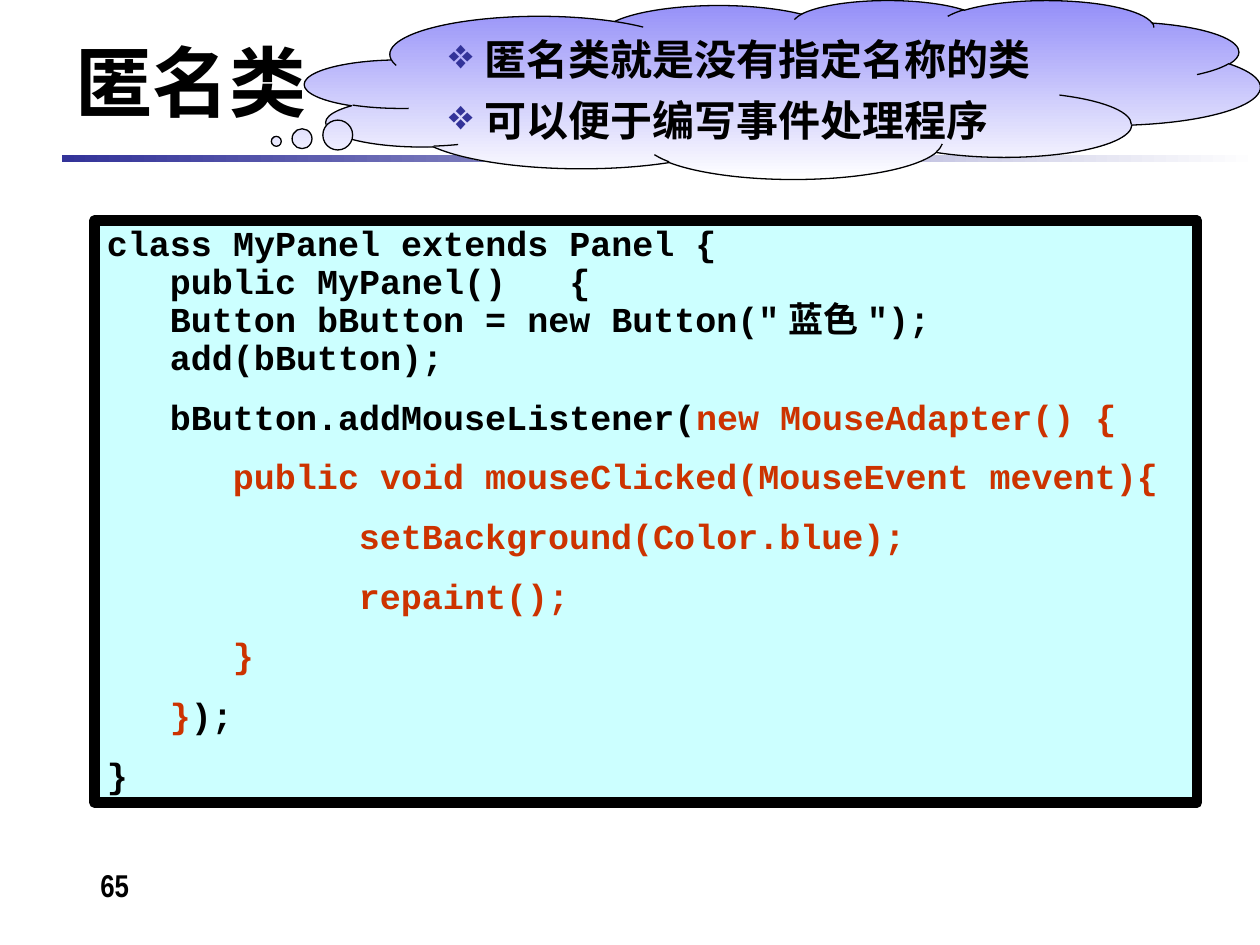
import pptx
import pptx.util
import pptx.dml.color
import pptx.enum.shapes
import pptx.enum.text
import pptx.oxml
import pptx.oxml.ns

Inches, Pt = pptx.util.Inches, pptx.util.Pt
SHAPE = pptx.enum.shapes.MSO_SHAPE
ANCHOR = pptx.enum.text.MSO_ANCHOR
ALIGN = pptx.enum.text.PP_ALIGN

COLORS = {"ink": "000000", "navy": "333399", "white": "FFFFFF",
          "cyan": "CCFFFF", "red": "CC3300", "violet": "938EF8"}
SANS, MONO = "Arial Narrow", "Courier New"
INDENT = 0.5  # one code level: three characters at 20 pt

# Each paragraph: indent level, hanging level, lines of (text, colour) runs
CODE = [
    (0, 1, [[("class MyPanel extends Panel {", "ink")],
            [("public MyPanel()   {", "ink")],
            [('Button bButton = new Button("蓝色");', "ink")],
            [("add(bButton);", "ink")]]),
    (1, 1, [[("bButton.addMouseListener(", "ink"), ("new MouseAdapter() {", "red")]]),
    (2, 2, [[("public void mouseClicked(MouseEvent mevent){", "red")]]),
    (4, 4, [[("setBackground(Color.blue);", "red")]]),
    (4, 4, [[("repaint();", "red")]]),
    (2, 2, [[("}", "red")]]),
    (1, 1, [[("}", "red"), (");", "ink")]]),
    (0, 0, [[("}", "ink")]]),
]


def rgb(name):
    return pptx.dml.color.RGBColor.from_string(COLORS[name])


class SlideBuilder:
    def __init__(self, slide):
        self.slide = slide

    def font(self, font, size, name=SANS, color="ink"):
        font.name, font.size, font.bold = name, Pt(size), True
        font.color.rgb = rgb(color)

    def indent(self, p, left, first):
        pPr = p._p.get_or_add_pPr()
        pPr.set("marL", str(Inches(left)))
        pPr.set("indent", str(Inches(first)))
        return pPr

    def shape(self, kind, box, fill, angle=0, line=None):
        """A pair of colours as fill makes a gradient."""
        sp = self.slide.shapes.add_shape(kind, *map(Inches, box))
        sp.shadow.inherit = False
        if isinstance(fill, tuple):
            sp.fill.gradient()
            sp.fill.gradient_angle = angle
            for stop, color in zip(sp.fill.gradient_stops, fill):
                stop.color.rgb = rgb(color)
        else:
            sp.fill.solid()
            sp.fill.fore_color.rgb = rgb(fill)
        if line:
            sp.line.color.rgb, sp.line.width = rgb("ink"), Pt(line)
        else:
            sp.line.fill.background()
        sp.text_frame.vertical_anchor = ANCHOR.TOP
        return sp

    def text(self, box, text, size, anchor=ANCHOR.TOP, align=ALIGN.LEFT):
        tf = self.slide.shapes.add_textbox(*map(Inches, box)).text_frame
        tf.word_wrap, tf.vertical_anchor = True, anchor
        p = tf.paragraphs[0]
        p.text, p.alignment = text, align
        self.font(p.font, size)

    def paragraphs(self, tf, count):
        while len(tf.paragraphs) < count:
            tf.add_paragraph()
        return tf.paragraphs

    def bullets(self, tf, items, size):
        for p, item in zip(self.paragraphs(tf, len(items)), items):
            p.text, p.alignment, p.space_before = item, ALIGN.LEFT, Pt(6)
            self.font(p.font, size)
            pPr = self.indent(p, 0.28, -0.28)
            ns = pptx.oxml.ns.nsdecls("a")
            marks = (f'<a:buClr {ns}><a:srgbClr val="{COLORS["navy"]}"/></a:buClr>',
                     f'<a:buChar {ns} char="❖"/>')
            # Bullet marks come before the default run properties
            for mark in marks:
                pPr.find(pptx.oxml.ns.qn("a:defRPr")).addprevious(pptx.oxml.parse_xml(mark))

    def code(self, tf, rows, size):
        for p, (level, hang, lines) in zip(self.paragraphs(tf, len(rows)), rows):
            p.alignment, p.line_spacing, p.space_before = ALIGN.LEFT, 0.9, Pt(12.5)
            self.font(p.font, size, MONO)
            self.indent(p, hang * INDENT, (level - hang) * INDENT)
            for i, line in enumerate(lines):
                if i:
                    p.add_line_break()
                for text, color in line:
                    r = p.add_run()
                    r.text = text
                    r.font.color.rgb = rgb(color)


def main():
    prs = pptx.Presentation()
    prs.slide_width, prs.slide_height = Inches(10), Inches(7.5)
    s = SlideBuilder(prs.slides.add_slide(prs.slide_layouts[6]))

    # Title and fading rule
    s.shape(SHAPE.RECTANGLE, (0.49, 1.23, 9.51, 0.06), ("navy", "white"))
    s.text((0.5, 0.17, 8.58, 0.94), "匿名类", 44, ANCHOR.MIDDLE)

    # Code panel
    panel = s.shape(SHAPE.RECTANGLE, (0.75, 1.75, 8.75, 4.62), "cyan", line=6)
    s.code(panel.text_frame, CODE, 20)

    # Cloud with the definition
    cloud = s.shape(SHAPE.CLOUD_CALLOUT, (2.42, 0, 7.58, 1.42),
                    ("violet", "white"), angle=270, line=0.75)
    cloud.adjustments[0], cloud.adjustments[1] = -0.53, 0.29
    s.bullets(cloud.text_frame, ["匿名类就是没有指定名称的类", "可以便于编写事件处理程序"], 24)

    # Page number
    s.text((0.2, 6.82, 1.42, 0.52), "65", 18, align=ALIGN.CENTER)

    prs.save("out.pptx")


if __name__ == "__main__":
    main()
